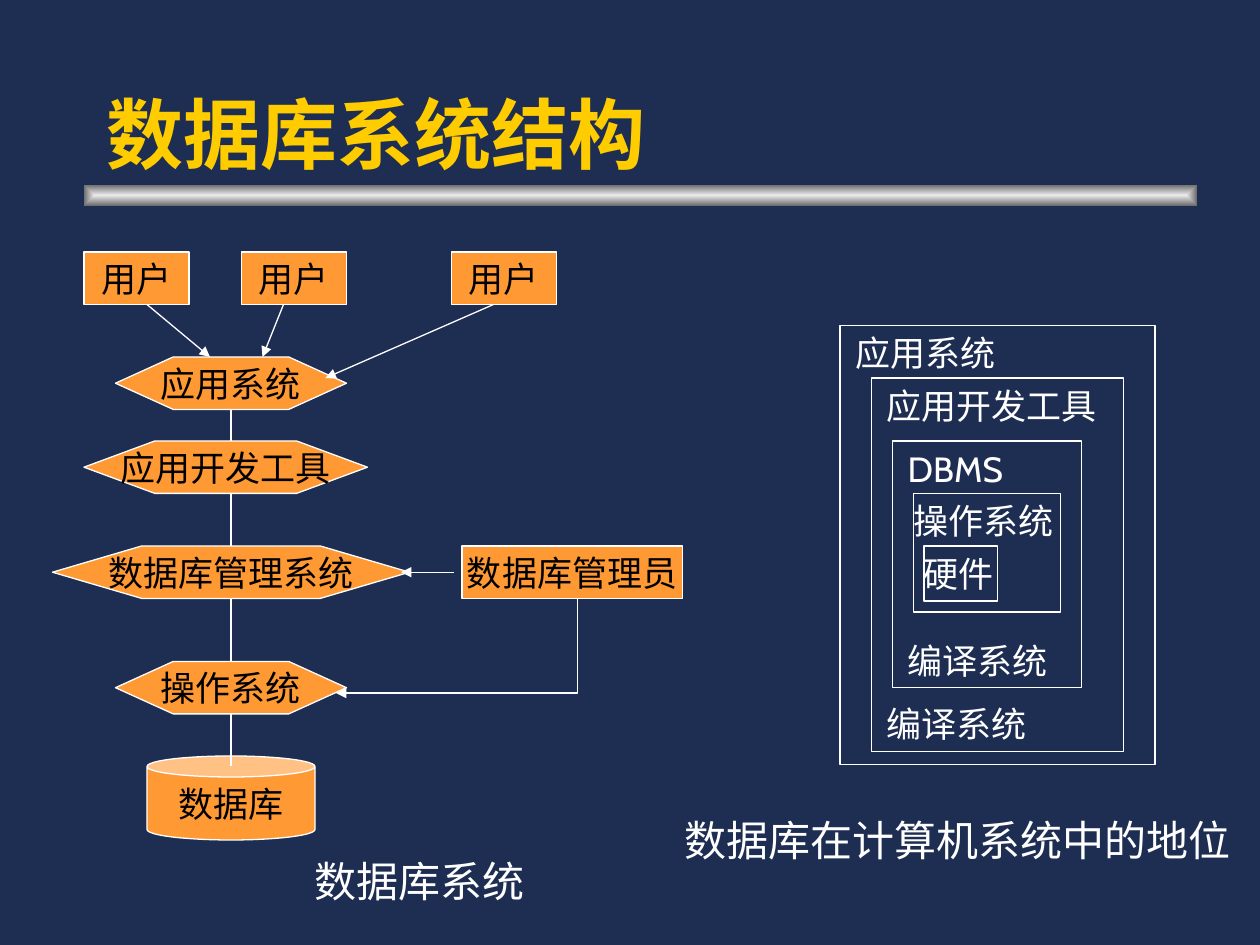
from itertools import pairwise
from lxml.etree import SubElement
from pptx import Presentation
from pptx.dml.color import RGBColor
from pptx.enum.shapes import MSO_CONNECTOR, MSO_SHAPE
from pptx.enum.text import MSO_ANCHOR, PP_ALIGN
from pptx.oxml.ns import qn
from pptx.util import Inches, Pt

COLORS = {
    "back": "1E2E53", "title": "FFCC00", "node": "FF9933",
    "white": "FFFFFF", "black": "000000", "light": "EAEAEA", "dark": "6C6C6C",
}
FONT = "Cabin"
AXIS = 22  # column of the vertical flow


def unit(count):
    """Length of grid steps; the grid has 12 steps to the inch."""
    return Inches(count / 12)


def place(box):
    return [unit(n) for n in box]


def tint(name):
    return RGBColor.from_string(COLORS[name])


def paint(shape, fill=None):
    shape.shadow.inherit = False
    if fill:
        shape.fill.solid()
        shape.fill.fore_color.rgb = tint(fill)
    else:
        shape.fill.background()
    trace(shape)


def trace(shape, arrow=False):
    shape.line.color.rgb = tint("white")
    shape.line.width = Pt(0.75)
    if arrow:
        SubElement(shape._element.spPr.find(qn("a:ln")), qn("a:tailEnd"), type="triangle")


def write(frame, text, size, color, font=FONT, bold=False, align=PP_ALIGN.LEFT):
    frame.text = text
    for para in frame.paragraphs:
        para.alignment = align
        for run in para.runs:
            run.font.size = Pt(size)
            run.font.name = font
            run.font.bold = bold
            run.font.color.rgb = tint(color)


def add_node(slide, kind, box, text):
    """Orange box with a centred label."""
    node = slide.shapes.add_shape(kind, *place(box))
    paint(node, "node")
    if kind == MSO_SHAPE.HEXAGON:
        node.adjustments[0] = box[2] / (4 * box[3])
    frame = node.text_frame
    frame.word_wrap = False
    frame.vertical_anchor = MSO_ANCHOR.MIDDLE
    write(frame, text, 20, "black", align=PP_ALIGN.CENTER)


def add_link(slide, start, end, arrow=False):
    link = slide.shapes.add_connector(MSO_CONNECTOR.STRAIGHT, *place(start + end))
    trace(link, arrow)
    SubElement(link._element.spPr, qn("a:effectLst"))


def add_bend(slide, first, *rest):
    """Open outline that ends in an arrow."""
    form = slide.shapes.build_freeform(*first, scale=unit(1))
    form.add_line_segments(rest, close=False)
    bend = form.convert_to_shape()
    paint(bend)
    trace(bend, arrow=True)


def add_layer(slide, box, text, indent, gap):
    """Outlined layer; gap parts its top label from its bottom one."""
    layer = slide.shapes.add_shape(MSO_SHAPE.RECTANGLE, *place(box))
    paint(layer)
    frame = layer.text_frame
    frame.word_wrap = True
    frame.vertical_anchor = MSO_ANCHOR.TOP
    frame.margin_left, frame.margin_right = Inches(indent), 0
    write(frame, text, 20, "white")
    for para in frame.paragraphs[1:]:
        para.space_before = Pt(gap)


def add_label(slide, box, text, size=24, color="white", **style):
    frame = slide.shapes.add_textbox(*place(box)).text_frame
    frame.word_wrap = False
    write(frame, text, size, color, **style)
    return frame


def add_bar(slide):
    """Rule under the title, light in the middle."""
    bar = slide.shapes.add_shape(MSO_SHAPE.RECTANGLE, *place((8, 17.6, 106, 2)))
    bar.shadow.inherit = False
    bar.line.fill.background()
    bar.fill.gradient()
    for stop, name, spot in zip(bar.fill.gradient_stops, ("light", "dark"), (0, 1)):
        stop.color.rgb = tint(name)
        stop.position = spot
    grad = bar._element.spPr.find(qn("a:gradFill"))
    grad.remove(grad.find(qn("a:lin")))
    focus = SubElement(grad, qn("a:path"), path="rect")
    SubElement(focus, qn("a:fillToRect"), l="50000", t="50000", r="50000", b="50000")


def add_flow(slide):
    # Centred chain: top row, width, label
    chain = [(34, 22, "应用系统"), (42, 27, "应用开发工具"),
             (52, 34, "数据库管理系统"), (63, 22, "操作系统")]
    for top, width, text in chain:
        left = int(AXIS - width / 2)
        add_node(slide, MSO_SHAPE.HEXAGON, (left, top, width, 5), text)
    add_node(slide, MSO_SHAPE.CAN, (14, 72, 16, 8), "数据库")

    # Users
    for left in (8, 23, 43):
        add_node(slide, MSO_SHAPE.RECTANGLE, (left, 24, 10, 5), "用户")
    for start, end in (((14, 29), (20, 34)), ((27, 29), (25, 34)), ((47, 29), (31, 36))):
        add_link(slide, start, end, arrow=True)

    # Links down the chain, the last one into the lid of the can
    tops = [row[0] for row in chain] + [73]
    for top, below in pairwise(tops):
        add_link(slide, (AXIS, top + 5), (AXIS, below))

    # Administrator
    add_node(slide, MSO_SHAPE.RECTANGLE, (44, 52, 21, 5), "数据库管理员")
    add_link(slide, (43.2, 54.5), (38.2, 54.5), arrow=True)
    add_bend(slide, (55, 57), (55, 66), (32, 66))
    add_label(slide, (28.8, 80.9, 23, 6), "数据库系统")


def add_nest(slide):
    # Layers from the inside out: box, text, indent, gap
    layers = [
        ((88, 52, 7, 5.25), "硬件", 0, 0),
        ((87, 47, 14, 11.3), "操作系统", 0, 0),
        ((85, 42, 18, 23.5), "DBMS\n编译系统", 0.12, 86),
        ((83, 36, 24, 35.6), "应用开发工具\n编译系统", 0.12, 158),
        ((80, 31, 30, 41.8), "应用系统", 0.12, 0),
    ]
    for layer in layers:
        add_layer(slide, *layer)
    add_label(slide, (64, 77, 54.6, 6), "数据库在计算机系统中的地位")


def main():
    deck = Presentation()
    deck.slide_width, deck.slide_height = unit(120), unit(90)
    slide = deck.slides.add_slide(deck.slide_layouts[6])
    slide.background.fill.solid()
    slide.background.fill.fore_color.rgb = tint("back")

    # Heading
    add_bar(slide)
    title = add_label(slide, (9, 3, 102, 14.6), "数据库系统结构", 44, "title",
                      font="Arial", bold=True)
    title.word_wrap = True
    title.vertical_anchor = MSO_ANCHOR.BOTTOM

    # Left and right diagrams
    add_flow(slide)
    add_nest(slide)
    deck.save("out.pptx")


if __name__ == "__main__":
    main()
